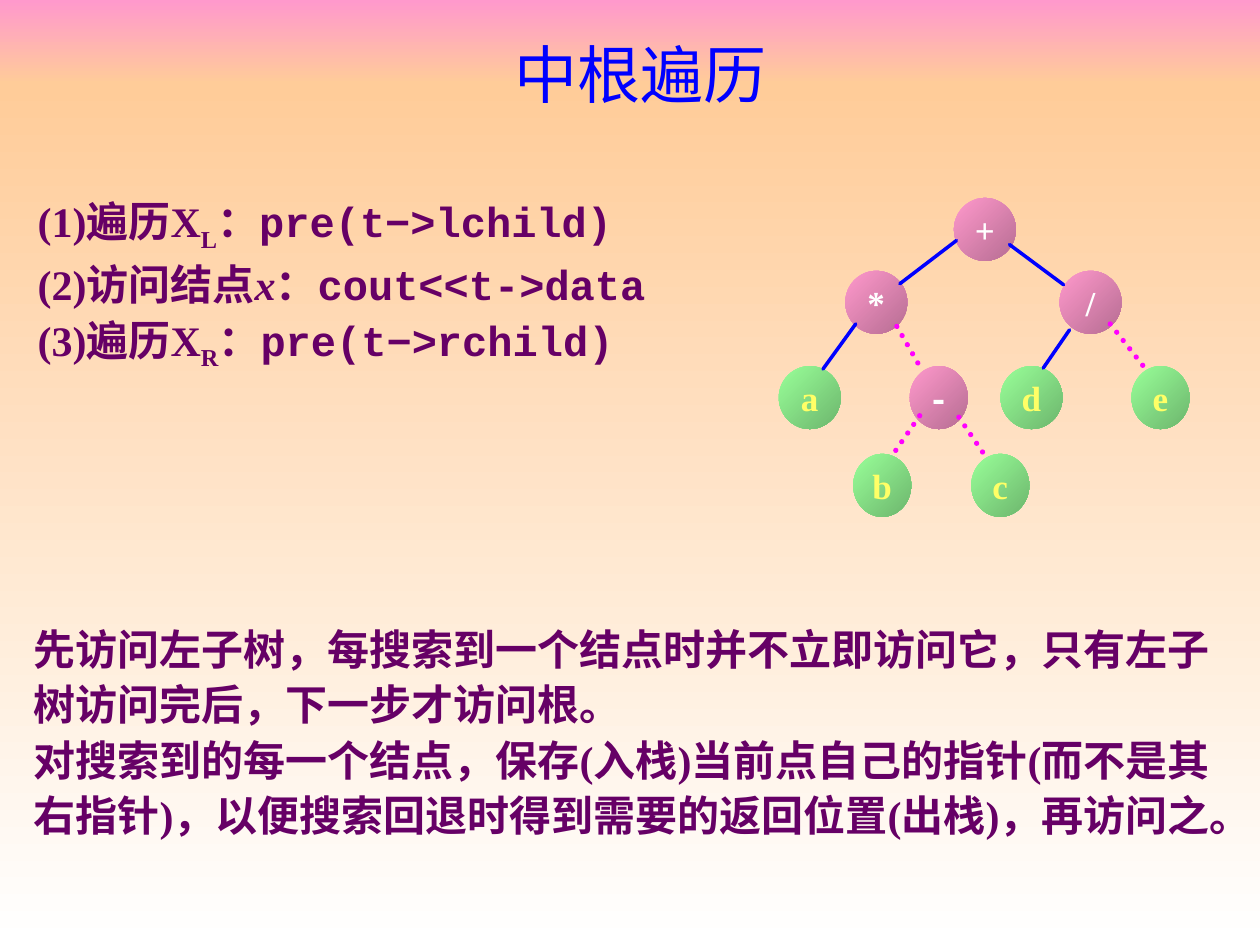
from lxml import etree
from pptx import Presentation
from pptx.dml.color import RGBColor
from pptx.enum.dml import MSO_LINE
from pptx.enum.shapes import MSO_CONNECTOR, MSO_SHAPE
from pptx.enum.text import MSO_ANCHOR, PP_ALIGN
from pptx.oxml.ns import qn
from pptx.util import Cm, Pt

RECTANGLE, OVAL = MSO_SHAPE.RECTANGLE, MSO_SHAPE.OVAL
STRAIGHT, DOTTED = MSO_CONNECTOR.STRAIGHT, MSO_LINE.ROUND_DOT
CENTER, LEFT, MIDDLE = PP_ALIGN.CENTER, PP_ALIGN.LEFT, MSO_ANCHOR.MIDDLE
SERIF, MONO, CHINESE = "Times New Roman", "Courier New", "Noto Sans CJK SC"

# Formats; "color" and "baseline" are handled apart from the font attributes
TITLE = {"name": CHINESE, "size": Pt(36), "color": "0000FF"}
BODY = {"name": SERIF, "size": Pt(24), "bold": True, "color": "660066"}
CODE = BODY | {"name": MONO}
SUBSCRIPT = BODY | {"baseline": -25000}
ITALIC = BODY | {"italic": True}

# Background bands: top, height, upper colour, lower colour
BANDS = [(0, 1.7, "FF99CC", "FFCC99"), (1.7, 17.35, "FFCC99", "FFFFFF")]

# Text boxes: left, top, width, height, alignment, line spacing, paragraphs
TEXTS = [
    (2.11, 0.58, 21.59, 1.78, CENTER, 1.0, [[("中根遍历", TITLE)]]),
    (0.43, 12.34, 24.51, 4.72, LEFT, 1.1, [
        [("先访问左子树，每搜索到一个结点时并不立即访问它，"
          "只有左子树访问完后，下一步才访问根。", BODY)],
        [("对搜索到的每一个结点，保存(入栈)当前点自己的指针(而不是其右指针)，"
          "以便搜索回退时得到需要的返回位置(出栈)，再访问之。", BODY)],
    ]),
    (0.51, 3.86, 13.49, 3.61, LEFT, 1.1, [
        [("(1)", BODY), ("遍历", CODE), ("X", BODY), ("L", SUBSCRIPT),
         ("：pre(t−>lchild)", CODE)],
        [("(2)", BODY), ("访问结点", CODE), ("x", ITALIC),
         ("：cout<<t->data", CODE)],
        [("(3)", BODY), ("遍历", CODE), ("X", BODY), ("R", SUBSCRIPT),
         ("：pre(t−>rchild)", CODE)],
    ]),
]

# Tree
LEVEL_TOPS = [3.99, 5.46, 7.38, 9.15]
NODE_HEIGHT, WIDE, NARROW = 1.27, 1.25, 1.17
OPERATOR = ("FF99CC", "B66D92", "FFFFFF")
OPERAND = ("99FF99", "6DB66D", "FFFF66")

# Nodes: label, level, left, width, colours
NODES = [
    ("+", 0, 19.23, WIDE, OPERATOR),
    ("*", 1, 17.04, WIDE, OPERATOR),
    ("/", 1, 21.36, WIDE, OPERATOR),
    ("a", 2, 15.7, WIDE, OPERAND),
    ("-", 2, 18.34, NARROW, OPERATOR),
    ("d", 2, 20.17, WIDE, OPERAND),
    ("e", 2, 22.81, NARROW, OPERAND),
    ("b", 3, 17.2, NARROW, OPERAND),
    ("c", 3, 19.58, NARROW, OPERAND),
]

SOLID_EDGES = [
    (19.28, 4.85, 18.14, 5.72),
    (20.35, 4.93, 21.44, 5.74),
    (21.56, 6.65, 21.03, 7.42),
    (17.25, 6.53, 16.59, 7.44),
]
DOTTED_EDGES = [
    (18.08, 6.58, 18.59, 7.47),
    (19.33, 8.41, 19.86, 9.19),
    (22.38, 6.53, 23.04, 7.37),
    (18.54, 8.38, 17.98, 9.19),
]


def rgb(value):
    return RGBColor.from_string(value)


def add_run(paragraph, text, style):
    run = paragraph.add_run()
    run.text = text
    for attribute, value in style.items():
        if attribute == "color":
            run.font.color.rgb = rgb(value)
        elif attribute == "baseline":
            run._r.get_or_add_rPr().set("baseline", str(value))
        else:
            setattr(run.font, attribute, value)
    etree.SubElement(run._r.get_or_add_rPr(), qn("a:ea"), typeface=CHINESE)


def add_gradient_shape(slide, kind, box, colors, angle):
    """Add an outline-free shape; the angle runs counter-clockwise."""
    shape = slide.shapes.add_shape(kind, *map(Cm, box))
    shape.shadow.inherit = False
    shape.line.fill.background()
    shape.fill.gradient()
    shape.fill.gradient_angle = angle
    for stop, color in zip(shape.fill.gradient_stops, colors):
        stop.color.rgb = rgb(color)
    return shape


def add_text(slide, box, alignment, spacing, paragraphs):
    frame = slide.shapes.add_textbox(*map(Cm, box)).text_frame
    frame.word_wrap = True
    frame.vertical_anchor = MIDDLE
    for index, runs in enumerate(paragraphs):
        paragraph = frame.add_paragraph() if index else frame.paragraphs[0]
        paragraph.alignment = alignment
        paragraph.line_spacing = spacing
        for text, style in runs:
            add_run(paragraph, text, style)


def add_node(slide, label, level, left, width, colors):
    start, end, text_color = colors
    box = (left, LEVEL_TOPS[level], width, NODE_HEIGHT)
    frame = add_gradient_shape(slide, OVAL, box, (start, end), 315).text_frame
    frame.word_wrap = False
    frame.vertical_anchor = MIDDLE
    paragraph = frame.paragraphs[0]
    paragraph.alignment = CENTER
    font_name = MONO if label == "-" else SERIF
    add_run(paragraph, label, BODY | {
        "name": font_name, "size": Pt(20), "color": text_color})


def add_edge(slide, ends, color, width, dash=None):
    edge = slide.shapes.add_connector(STRAIGHT, *map(Cm, ends))
    edge.line.color.rgb = rgb(color)
    edge.line.width = Pt(width)
    edge.line.dash_style = dash
    edge.line._get_or_add_ln().set("cap", "rnd")
    etree.SubElement(edge._element.spPr, qn("a:effectLst"))


def main():
    presentation = Presentation()
    presentation.slide_width, presentation.slide_height = Cm(25.4), Cm(19.05)
    slide = presentation.slides.add_slide(presentation.slide_layouts[6])
    for top, height, *colors in BANDS:
        add_gradient_shape(slide, RECTANGLE, (0, top, 25.4, height), colors, 270)
    for *box, alignment, spacing, paragraphs in TEXTS:
        add_text(slide, box, alignment, spacing, paragraphs)
    for node in NODES:
        add_node(slide, *node)
    for ends in SOLID_EDGES:
        add_edge(slide, ends, "0000FF", 2)
    for ends in DOTTED_EDGES:
        add_edge(slide, ends, "FF00FF", 3, DOTTED)
    presentation.save("out.pptx")


if __name__ == "__main__":
    main()
